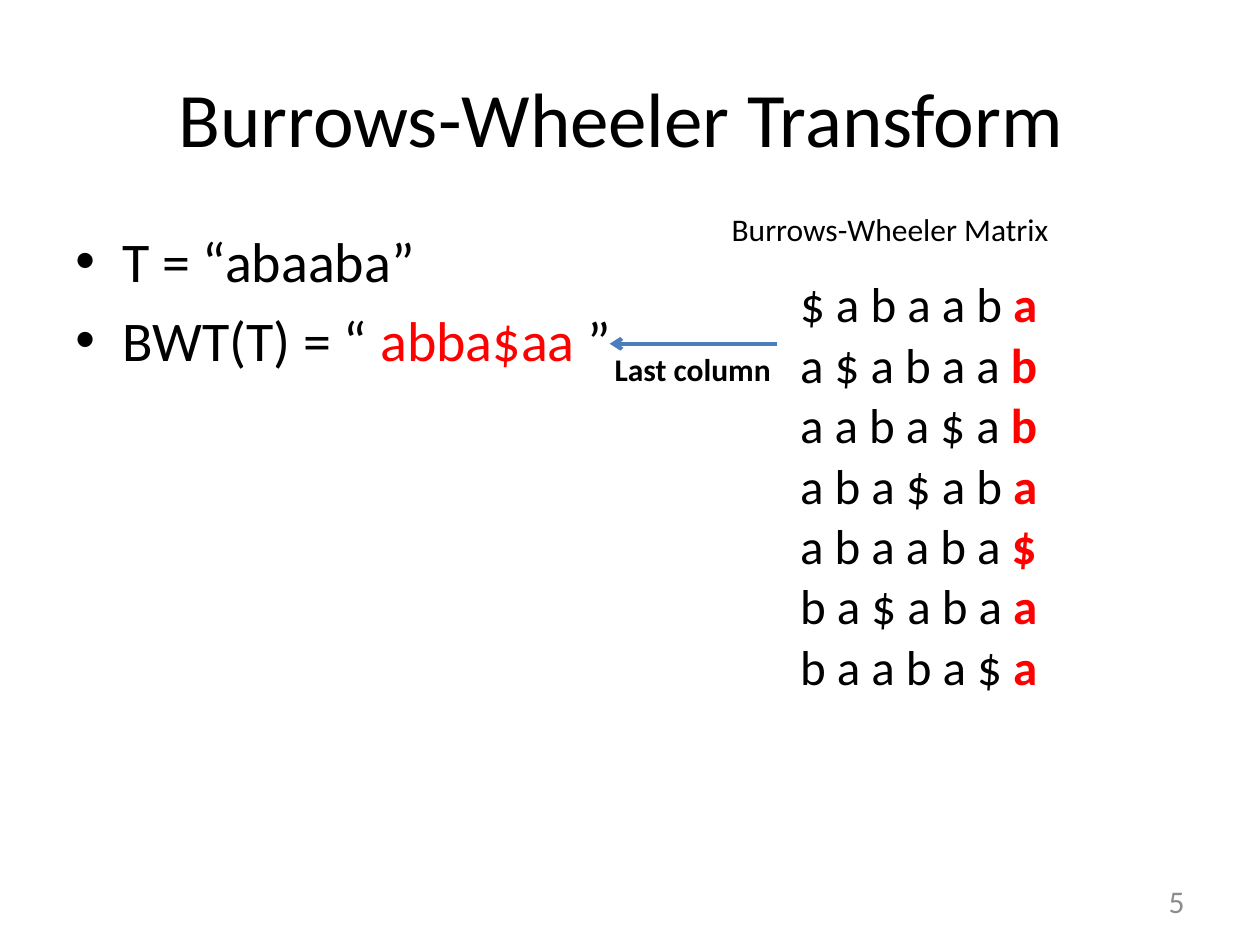
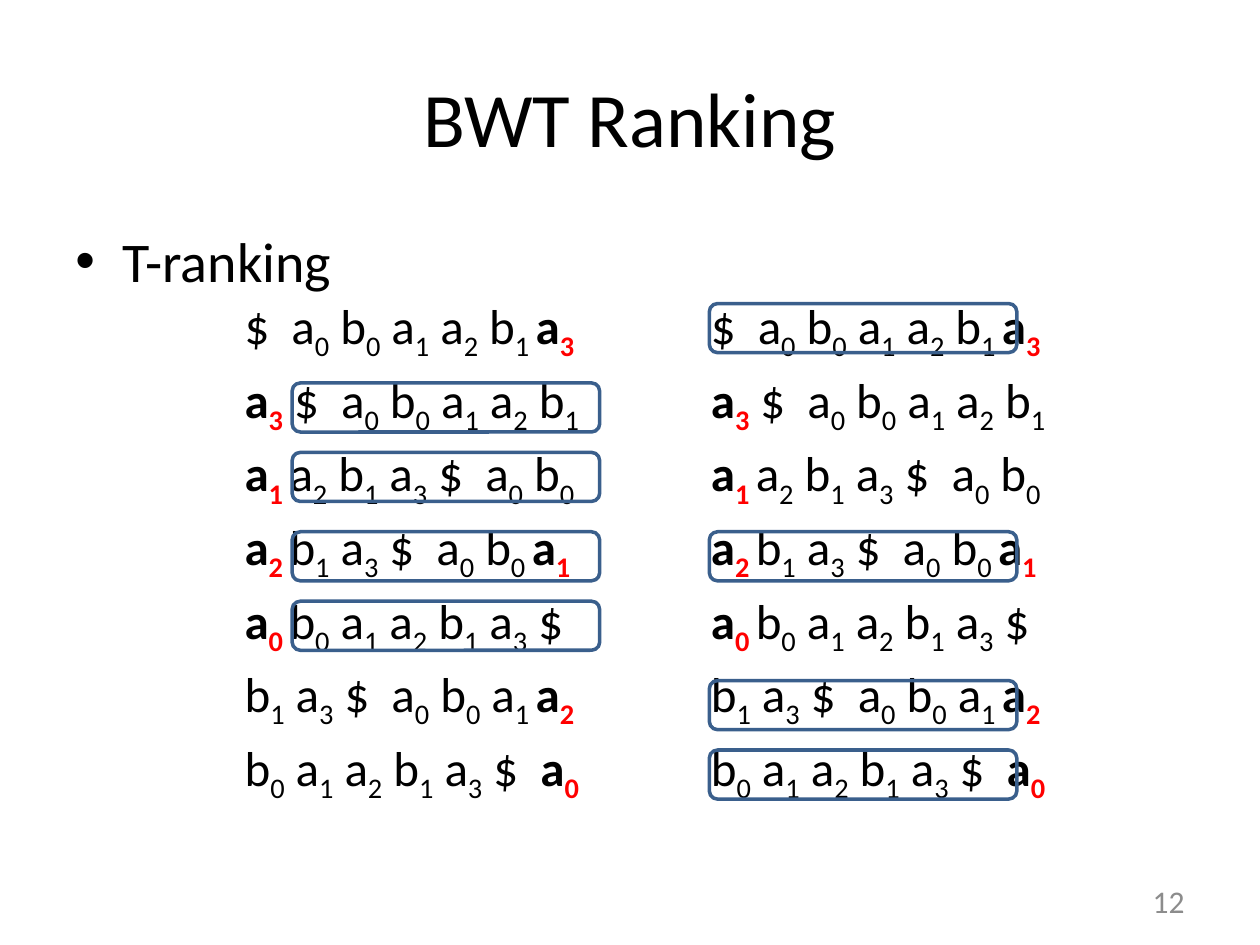
from itertools import groupby

from lxml.etree import SubElement
from pptx import Presentation
from pptx.dml.color import RGBColor
from pptx.enum.shapes import MSO_CONNECTOR, MSO_SHAPE
from pptx.enum.text import MSO_ANCHOR, PP_ALIGN
from pptx.oxml.ns import qn
from pptx.util import Cm, Pt

BLACK = RGBColor(0x00, 0x00, 0x00)
RED = RGBColor(0xFF, 0x00, 0x00)
GRAY = RGBColor(0x8C, 0x8C, 0x8C)
WHITE = RGBColor(0xFF, 0xFF, 0xFF)
ARROW_BLUE = RGBColor(0x4B, 0x7E, 0xBC)
FRAME_BLUE = RGBColor(0x3A, 0x5F, 0x8C)

FONT = "Calibri"
SUBSCRIPT = "-25000"
TITLE_BOX = (1.27, 0.76, 22.86, 3.18)
BODY_BOX = (1.27, 4.45, 22.86, 12.57)
NUMBER_BOX = (18.21, 17.65, 5.92, 1.02)

MATRIX_ROWS = [
    "$ a b a a b a",
    "a $ a b a a b",
    "a a b a $ a b",
    "a b a $ a b a",
    "a b a a b a $",
    "b a $ a b a a",
    "b a a b a $ a",
]
# A marks a bold a, _ a lowered space
RANKED_ROWS = [
    "$  a0 b0 a1 a2 b1_A3",
    "A3 $  a0 b0 a1 a2 b1",
    "A1_a2 b1 a3 $  a0 b0",
    "A2_b1 a3 $  a0 b0_A1",
    "A0_b0 a1 a2 b1 a3 $",
    "b1 a3 $  a0 b0 a1_A2",
    "b0 a1 a2 b1 a3 $  A0",
]


def cm(*values):
    return [Cm(v) for v in values]


def set_all(obj, fmt):
    for name, value in fmt.items():
        setattr(obj, name, value)


def add_runs(p, runs, size, bold=False):
    for text, color, strong, lowered in runs:
        r = p.add_run()
        r.text = text
        set_all(r.font, {"name": FONT, "size": Pt(size), "bold": bold or strong})
        r.font.color.rgb = color
        if lowered:
            r.font._element.set("baseline", SUBSCRIPT)


def plain(text, color=BLACK):
    return (text, color, False, False)


def add_text(s, box, paragraphs, size, bold=False, wrap=True,
             anchor=MSO_ANCHOR.TOP, align=PP_ALIGN.LEFT, bullet=False):
    tf = s.shapes.add_textbox(*cm(*box)).text_frame
    set_all(tf, {"word_wrap": wrap, "vertical_anchor": anchor})
    for i, runs in enumerate(paragraphs):
        p = tf.add_paragraph() if i else tf.paragraphs[0]
        p.alignment = align
        if i:
            p.space_before = Pt(size * 0.2)
        if bullet:
            pPr = p._p.get_or_add_pPr()
            pPr.set("marL", str(Cm(0.95)))
            pPr.set("indent", str(-Cm(0.95)))
            SubElement(pPr, qn("a:buFont"), typeface="Arial")
            SubElement(pPr, qn("a:buChar"), char="•")
        add_runs(p, runs, size, bold)


def add_frame(prs, title, bullets, number):
    s = prs.slides.add_slide(prs.slide_layouts[6])
    add_text(s, TITLE_BOX, [[plain(title)]], 44,
             anchor=MSO_ANCHOR.MIDDLE, align=PP_ALIGN.CENTER)
    add_text(s, BODY_BOX, bullets, 32, bullet=True)
    add_text(s, NUMBER_BOX, [[plain(number, GRAY)]], 18,
             anchor=MSO_ANCHOR.MIDDLE, align=PP_ALIGN.RIGHT)
    return s


def add_rotations(s, box, rows):
    tbl = s.shapes.add_table(len(rows), 1, *cm(*box)).table
    set_all(tbl, {"first_row": False, "horz_banding": False})
    for row, runs in zip(tbl.rows, rows):
        row.height = Cm(box[3] / len(rows))
        cell = row.cells[0]
        set_all(cell, {
            "margin_left": Cm(0.03), "margin_right": Cm(0.03),
            "margin_top": Cm(0.03), "margin_bottom": 0,
            "vertical_anchor": MSO_ANCHOR.MIDDLE,
        })
        tcPr = cell._tc.get_or_add_tcPr()
        for side in ("lnL", "lnR", "lnT", "lnB"):
            ln = SubElement(tcPr, qn(f"a:{side}"), w=str(Pt(1)))
            SubElement(SubElement(ln, qn("a:solidFill")), qn("a:srgbClr"), val=str(WHITE))
        cell.fill.background()
        add_runs(cell.text_frame.paragraphs[0], runs, 28)


def last_letter_runs(row):
    return [plain(row[:-1]), (row[-1], RED, True, False)]


def ranked_runs(row):
    styled, strong = [], False
    for ch in row:
        lowered = ch.isdigit() or ch == "_"
        if not lowered:
            strong = ch == "A"
        color = RED if strong and lowered else BLACK
        styled.append((ch.replace("_", " ").lower(), (color, strong, lowered)))
    return [("".join(ch for ch, _ in group), *style)
            for style, group in groupby(styled, key=lambda item: item[1])]


def add_arrow(s, x1, x2, y):
    line = s.shapes.add_connector(MSO_CONNECTOR.STRAIGHT, *cm(x1, y, x2, y))
    line.line.color.rgb = ARROW_BLUE
    line.line.width = Pt(2.25)
    SubElement(line.line._get_or_add_ln(), qn("a:tailEnd"), type="arrow")
    SubElement(line._element.spPr, qn("a:effectLst"))


def add_matrix(s, box):
    x, y, w, h = box
    add_arrow(s, x - 0.43, x - 3.81, y + 1.39)
    add_text(s, (x - 3.96, y + 1.39, 3.68, 1.02), [[plain("Last column")]], 18,
             bold=True, wrap=False)
    add_text(s, (x - 1.6, y - 1.43, 7.14, 1.02), [[plain("Burrows-Wheeler Matrix")]], 18)
    add_rotations(s, box, [last_letter_runs(row) for row in MATRIX_ROWS])


def add_ranking(s, box, framed_rows, inset):
    x, y, w, h = box
    add_rotations(s, box, [ranked_runs(row) for row in RANKED_ROWS])
    for i in framed_rows:
        top = y + 0.2 + 1.5 * i + 0.1 * (i % 2)
        sp = s.shapes.add_shape(MSO_SHAPE.ROUNDED_RECTANGLE, *cm(x + inset, top, 6.2, 0.99))
        sp.shadow.inherit = False
        sp.fill.background()
        sp.line.color.rgb = FRAME_BLUE
        sp.line.width = Pt(2)


def build_transform(prs):
    s = add_frame(prs, "Burrows-Wheeler Transform ", [
        [plain("T = “abaaba”")],
        [plain("BWT(T) = “ "), plain("abba$aa", RED), plain(" ”")],
    ], "5")
    add_matrix(s, (16.1, 5.54, 5.21, 8.48))


def build_ranking(prs):
    s = add_frame(prs, "BWT Ranking", [[plain("T-ranking")]], "12")
    add_ranking(s, (4.9, 5.92, 7.59, 10.39), (1, 2, 3, 4), 0.99)
    add_ranking(s, (14.3, 5.92, 7.59, 10.39), (0, 3, 5, 6), 0)


def main():
    prs = Presentation()
    set_all(prs, {"slide_width": Cm(25.4), "slide_height": Cm(19.05)})
    build_transform(prs)
    build_ranking(prs)
    prs.save("out.pptx")


if __name__ == "__main__":
    main()
